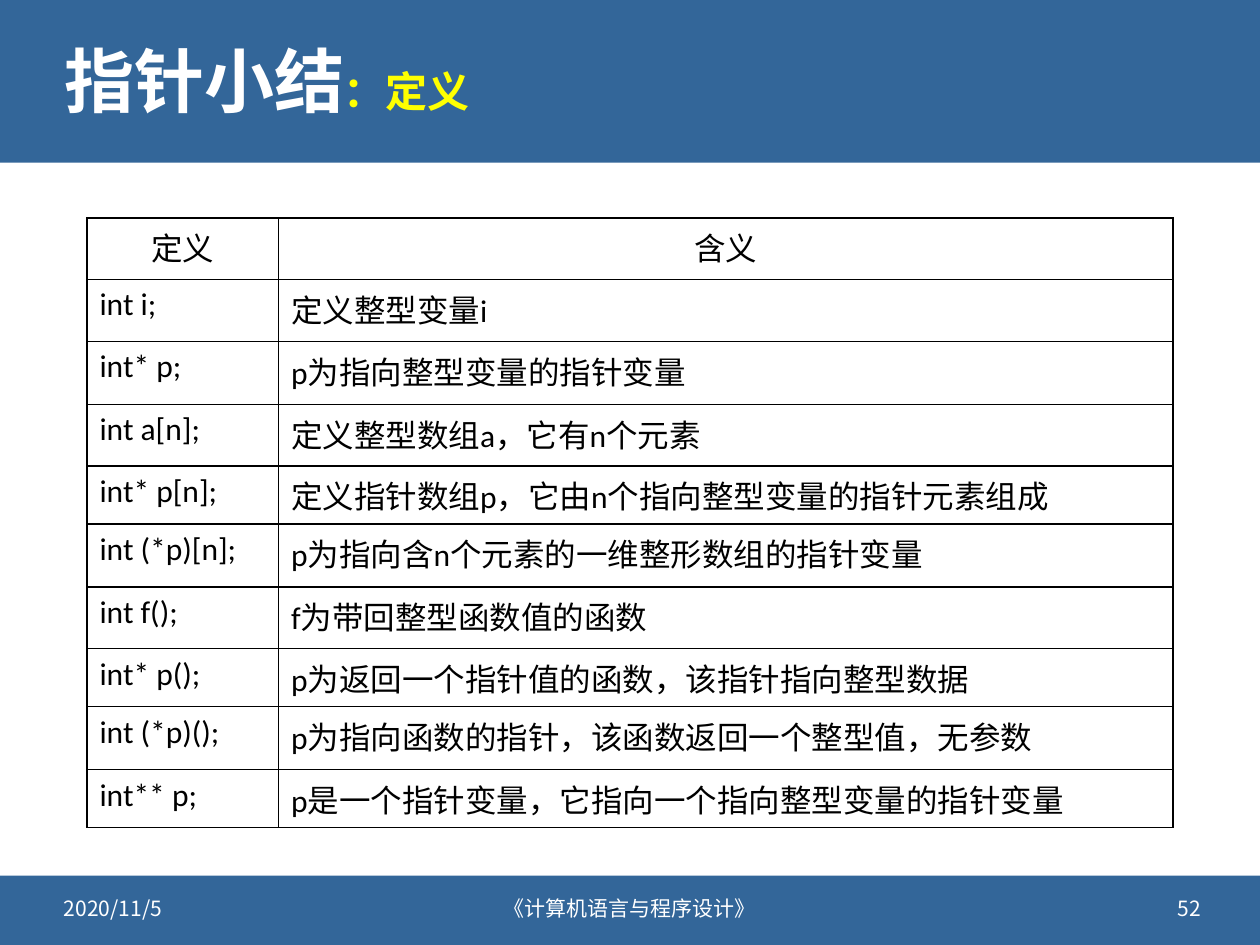
import pptx
import pptx.util
import pptx.dml.color
import pptx.enum.shapes
import pptx.enum.text
import pptx.oxml.ns
from lxml import etree

Inches = pptx.util.Inches
Pt = pptx.util.Pt
Align = pptx.enum.text.PP_ALIGN
Anchor = pptx.enum.text.MSO_ANCHOR
qn = pptx.oxml.ns.qn

COLORS = {"band": "336699", "white": "FFFFFF", "accent": "FFFF00", "ink": "000000"}
HAN = "Noto Sans CJK SC"
LATIN = "Calibri"

ROWS = [
    ("定义", "含义"),
    ("int i;", "定义整型变量i"),
    ("int* p;", "p为指向整型变量的指针变量"),
    ("int a[n];", "定义整型数组a，它有n个元素"),
    ("int* p[n];", "定义指针数组p，它由n个指向整型变量的指针元素组成"),
    ("int (*p)[n];", "p为指向含n个元素的一维整形数组的指针变量"),
    ("int f();", "f为带回整型函数值的函数"),
    ("int* p();", "p为返回一个指针值的函数，该指针指向整型数据"),
    ("int (*p)();", "p为指向函数的指针，该函数返回一个整型值，无参数"),
    ("int** p;", "p是一个指针变量，它指向一个指向整型变量的指针变量"),
]
HEIGHTS = [0.49, 0.49, 0.5, 0.49, 0.46, 0.5, 0.49, 0.46, 0.5, 0.46]
WIDTHS = [1.52, 7.1]


def color(name):
    return pptx.dml.color.RGBColor.from_string(COLORS[name])


def style(run, size, tint, face=HAN, bold=False):
    font = run.font
    font.size, font.bold, font.name = Pt(size), bold, face
    font.color.rgb = color(tint)
    east = etree.Element(qn("a:ea"), typeface=HAN)
    run._r.rPr.find(qn("a:latin")).addnext(east)


def add_band(slide, box):
    band = slide.shapes.add_shape(
        pptx.enum.shapes.MSO_SHAPE.RECTANGLE, *map(Inches, box))
    band.shadow.inherit = False
    band.fill.solid()
    band.fill.fore_color.rgb = color("band")
    band.line.fill.background()


def add_title(slide, box):
    title = slide.shapes.title
    title.left, title.top, title.width, title.height = map(Inches, box)
    frame = title.text_frame
    frame.word_wrap = True
    frame.auto_size = pptx.enum.text.MSO_AUTO_SIZE.NONE
    frame.vertical_anchor = Anchor.MIDDLE
    para = frame.paragraphs[0]
    para.alignment = Align.LEFT
    para.line_spacing = 0.9
    for text, size, tint in [("指针小结", 40, "white"), ("：定义", 24, "accent")]:
        run = para.add_run()
        run.text = text
        style(run, size, tint, bold=True)


def add_footer(slide, box):
    left, top, width, height = box
    parts = [
        (left, 2.4, "2020/11/5", Align.LEFT),
        (3.2, 3.6, "《计算机语言与程序设计》", Align.CENTER),
        (left + width - 2.4, 2.4, "52", Align.RIGHT),
    ]
    for x, wide, text, align in parts:
        shape = slide.shapes.add_textbox(*map(Inches, (x, top, wide, height)))
        frame = shape.text_frame
        frame.word_wrap = True
        frame.vertical_anchor = Anchor.MIDDLE
        frame.text = text
        para = frame.paragraphs[0]
        para.alignment = align
        style(para.runs[0], 12, "white")


def add_border(cell):
    props = cell._tc.get_or_add_tcPr()
    for spot, side in enumerate(("lnL", "lnR", "lnT", "lnB")):
        line = etree.Element(qn("a:" + side), w=str(Pt(1)))
        fill = etree.SubElement(line, qn("a:solidFill"))
        etree.SubElement(fill, qn("a:srgbClr"), val=COLORS["ink"])
        props.insert(spot, line)


def fill_cell(cell, text, align):
    cell.fill.solid()
    cell.fill.fore_color.rgb = color("white")
    add_border(cell)
    cell.text_frame.text = text
    para = cell.text_frame.paragraphs[0]
    para.alignment = align
    props = para._p.get_or_add_pPr()
    props.set("marL", str(Inches(0.51)))
    props.set("indent", str(-Inches(0.51)))
    style(para.runs[0], 18, "ink", LATIN)


def add_grid(slide, box):
    shape = slide.shapes.add_table(len(ROWS), len(WIDTHS), *map(Inches, box))
    table = shape.table
    table.first_row = table.horz_banding = False
    for col, width in zip(table.columns, WIDTHS):
        col.width = Inches(width)
    for r, (row, texts) in enumerate(zip(table.rows, ROWS)):
        row.height = Inches(HEIGHTS[r])
        for cell, text in zip(row.cells, texts):
            fill_cell(cell, text, Align.LEFT if r else Align.CENTER)


def main():
    deck = pptx.Presentation()
    deck.slide_width, deck.slide_height = Inches(10), Inches(7.5)
    slide = deck.slides.add_slide(deck.slide_layouts[5])
    add_band(slide, (0, 0, 10, 1.29))
    add_band(slide, (0, 6.95, 10, 0.55))
    tree = slide.shapes._spTree
    tree.append(slide.shapes.title._element)
    add_title(slide, (0.41, 0.18, 9.19, 0.99))
    add_footer(slide, (0.41, 7.01, 9.22, 0.4))
    add_grid(slide, (0.69, 1.73, sum(WIDTHS), sum(HEIGHTS)))
    deck.save("out.pptx")


if __name__ == "__main__":
    main()
